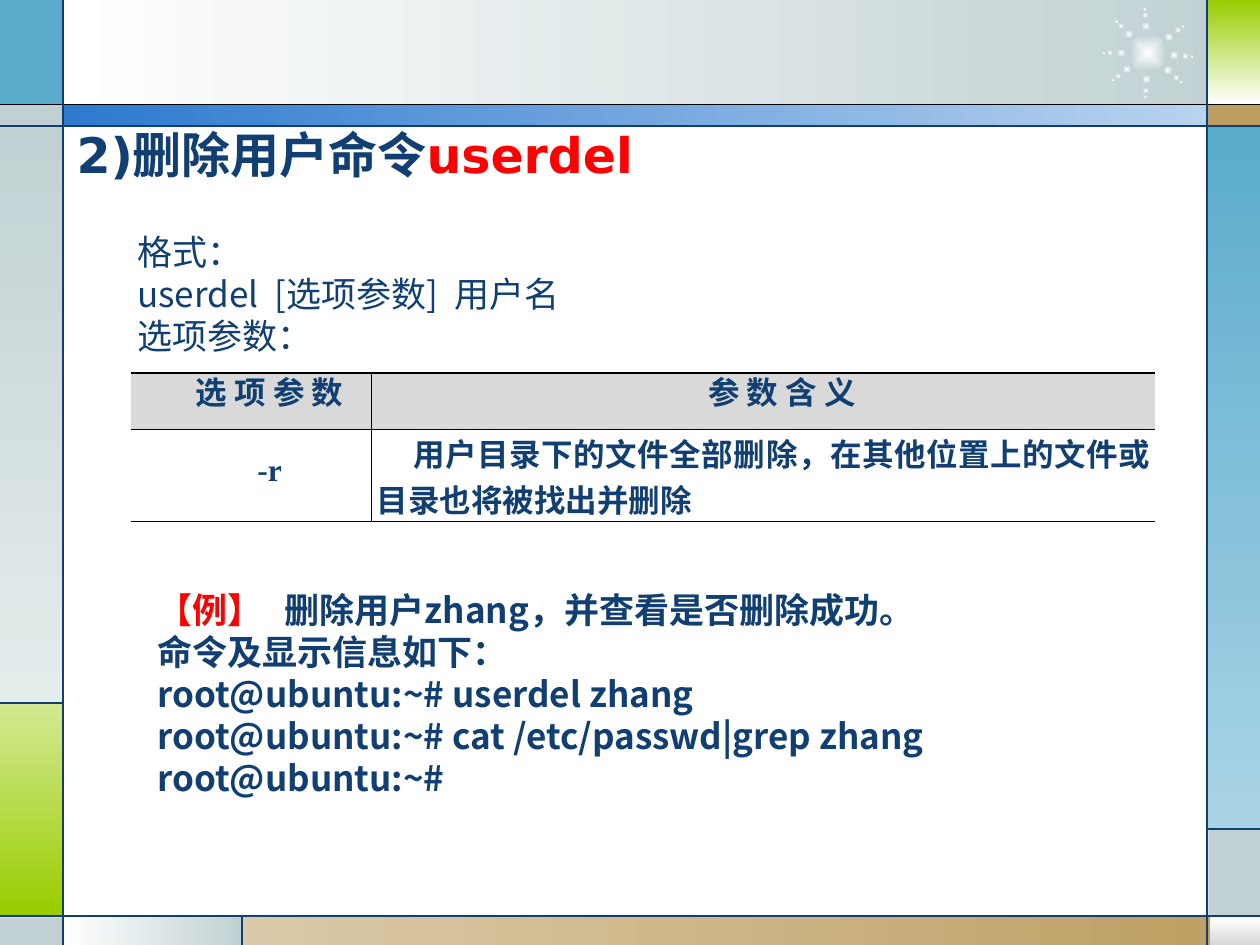
import math

from lxml import etree
from pptx import Presentation
from pptx.dml.color import RGBColor
from pptx.enum.shapes import MSO_CONNECTOR, MSO_SHAPE
from pptx.enum.text import MSO_ANCHOR, PP_ALIGN
from pptx.oxml.ns import qn
from pptx.util import Emu, Pt

RECT, OVAL = MSO_SHAPE.RECTANGLE, MSO_SHAPE.OVAL
STRAIGHT = MSO_CONNECTOR.STRAIGHT
TOP, MIDDLE = MSO_ANCHOR.TOP, MSO_ANCHOR.MIDDLE
LEFT, CENTER, JUSTIFY = PP_ALIGN.LEFT, PP_ALIGN.CENTER, PP_ALIGN.JUSTIFY

SCALE = 9144
NAVY, RED, BLACK, WHITE = "113F71", "FF0000", "000000", "FFFFFF"
BLUE, MIST, GREEN, TAN = "5AABCC", "C1D1D3", "99CC00", "BD9E61"
SANS, CJK, SERIF = "DejaVu Sans", "Noto Sans CJK SC", "Times New Roman"

BANDS = [
    (50, 0, 927, 84, (WHITE, MIST), 0),
    (0, 0, 50, 84, (BLUE,), 0),
    (0, 83, 50, 17, (MIST,), 0),
    (0, 100, 50, 458, (MIST, "E5ECEC"), 90),
    (0, 558, 50, 169, ("D4E993", GREEN), 90),
    (0, 728, 50, 22, (MIST,), 0),
    (50, 727, 143, 23, (WHITE, MIST), 0),
    (192, 727, 808, 23, ("DBCAA9", TAN), 0),
    (960, 728, 40, 22, (WHITE, "D8D8D8"), 90),
    (959, 658, 41, 70, (MIST,), 0),
    (958, 100, 42, 558, (BLUE, "AAD4E5"), 90),
    (958, 83, 42, 17, (TAN,), 0),
    (959, 0, 41, 83, (GREEN, WHITE), 90),
    (50, 83, 909, 17, ("2D7ACF", "B9D3EF"), 0),
]
RULES = [
    (0, 83, 1000, 83, BLACK),
    (0, 100, 1000, 100, NAVY),
    (0, 727, 1000, 727, NAVY),
    (50, 0, 50, 750, NAVY),
    (958, 0, 958, 750, NAVY),
    (0, 558, 50, 558, NAVY),
    (192, 727, 192, 750, NAVY),
    (958, 658, 1000, 658, NAVY),
]
BURST_CENTER = (911, 42)
BURST_ANGLES = (5, 41, 93, 142, 180, 225, 266, 323)
BURST_RINGS = ((21, 7), (30, 5), (35, 3))

TITLE = [[("2)删除用户命令", NAVY), ("userdel", RED)]]
SYNTAX = [[(line, NAVY)] for line in (
    "格式：", "userdel  [选项参数]  用户名", "选项参数：")]
EXAMPLE = [[("【例】\t", RED), ("删除用户zhang，并查看是否删除成功。", NAVY)]]
EXAMPLE += [[(line, NAVY)] for line in (
    "命令及显示信息如下：",
    "root@ubuntu:~# userdel zhang",
    "root@ubuntu:~# cat /etc/passwd|grep zhang",
    "root@ubuntu:~#")]
OPTIONS = [
    ("选 项 参 数", "参 数 含 义"),
    ("-r", "用户目录下的文件全部删除，在其他位置上的文件或目录也将被找出并删除"),
]


def px(n):
    return Emu(round(n * SCALE))


def rgb(color):
    return RGBColor.from_string(color)


class Deck:
    """Draws styled elements on the current slide."""

    def __init__(self, prs):
        self.s = prs.slides.add_slide(prs.slide_layouts[6])

    def shape(self, kind, x, y, w, h, colors, angle=0, radial=False):
        sp = self.s.shapes.add_shape(kind, px(x), px(y), px(w), px(h))
        sp.shadow.inherit = False
        sp.line.fill.background()
        if len(colors) == 1:
            sp.fill.solid()
            sp.fill.fore_color.rgb = rgb(colors[0])
            return
        sp.fill.gradient()
        sp.fill.gradient_angle = -angle % 360
        for stop, color in zip(sp.fill.gradient_stops, colors):
            stop.color.rgb = rgb(color)
        if radial:
            grad = sp._element.spPr.find(qn("a:gradFill"))
            grad.remove(grad.find(qn("a:lin")))
            focus = etree.SubElement(grad, qn("a:path"), {"path": "shape"})
            etree.SubElement(focus, qn("a:fillToRect"), dict.fromkeys("ltrb", "50000"))

    def line(self, x1, y1, x2, y2, color):
        c = self.s.shapes.add_connector(STRAIGHT, px(x1), px(y1), px(x2), px(y2))
        c.line.color.rgb = rgb(color)
        c.line.width = Pt(0.75)
        etree.SubElement(c._element.spPr, qn("a:effectLst"))

    def run(self, r, color, font, size, bold):
        r.font.name = font
        r.font.size = Pt(size)
        r.font.bold = bold
        r.font.color.rgb = rgb(color)
        ea = etree.Element(qn("a:ea"), typeface=CJK)
        r._r.get_or_add_rPr().find(qn("a:latin")).addnext(ea)

    def indent(self, p, first, tab=0):
        pPr = p._p.get_or_add_pPr()
        pPr.set("marL", "0")
        pPr.set("indent", str(px(first)))
        if tab:
            tabs = etree.SubElement(pPr, qn("a:tabLst"))
            etree.SubElement(tabs, qn("a:tab"), pos=str(px(tab)), algn="l")

    def text(self, x, y, w, h, paragraphs, font=CJK, size=20, bold=False,
             first=49, anchor=TOP):
        tf = self.s.shapes.add_textbox(px(x), px(y), px(w), px(h)).text_frame
        tf.word_wrap = True
        tf.vertical_anchor = anchor
        for i, parts in enumerate(paragraphs):
            p = tf.add_paragraph() if i else tf.paragraphs[0]
            self.indent(p, first, 144 if "\t" in parts[0][0] else 0)
            p.alignment = LEFT
            for words, color in parts:
                r = p.add_run()
                r.text = words
                self.run(r, color, font, size, bold)

    def borders(self, cell, sides):
        tcPr = cell._tc.get_or_add_tcPr()
        for side in "LRTB":
            ln = etree.SubElement(tcPr, qn("a:ln" + side), w=str(Pt(1)))
            if side in sides:
                fill = etree.SubElement(ln, qn("a:solidFill"))
                etree.SubElement(fill, qn("a:srgbClr"), val=BLACK)
            else:
                etree.SubElement(ln, qn("a:noFill"))

    def table(self, x, y, widths, heights, rows):
        frame = self.s.shapes.add_table(len(rows), len(widths), px(x), px(y),
                                        px(sum(widths)), px(sum(heights)))
        t = frame.table
        t.first_row = t.horz_banding = False
        for col, w in zip(t.columns, widths):
            col.width = px(w)
        for i, (row, h) in enumerate(zip(rows, heights)):
            t.rows[i].height = px(h)
            for j, words in enumerate(row):
                cell = t.cell(i, j)
                self.borders(cell, "LTB" if j else "RTB")
                if i:
                    cell.fill.background()
                else:
                    cell.fill.solid()
                    cell.fill.fore_color.rgb = rgb("D9D9D9")
                cell.vertical_anchor = MIDDLE
                cell.margin_left = cell.margin_right = px(4)
                cell.margin_top = cell.margin_bottom = 0
                p = cell.text_frame.paragraphs[0]
                p.text = words
                self.indent(p, 29)
                body = i and j
                p.alignment = JUSTIFY if body else CENTER
                if not body:
                    p.line_spacing = Pt(14)
                self.run(p.runs[0], NAVY, SERIF, 18, True)

    def burst(self):
        cx, cy = BURST_CENTER
        dots = [(cx, cy, 30)]
        for angle in map(math.radians, BURST_ANGLES):
            dots += [(cx + radius * math.cos(angle), cy + radius * math.sin(angle), size)
                     for radius, size in BURST_RINGS]
        for x, y, size in dots:
            self.shape(OVAL, x - size / 2, y - size / 2, size, size,
                       (WHITE, MIST), radial=True)


def main():
    prs = Presentation()
    prs.slide_width, prs.slide_height = px(1000), px(750)
    deck = Deck(prs)
    for band in BANDS:
        deck.shape(RECT, *band)
    deck.burst()
    for rule in RULES:
        deck.line(*rule)
    deck.text(51, 91, 733, 62, TITLE, SANS, 28, True, 0, MIDDLE)
    deck.text(50, 178, 883, 111, SYNTAX)
    deck.table(104, 296, (191, 622), (45, 73), OPTIONS)
    deck.text(66, 462, 867, 209, EXAMPLE, bold=True)
    prs.save("out.pptx")


if __name__ == "__main__":
    main()
